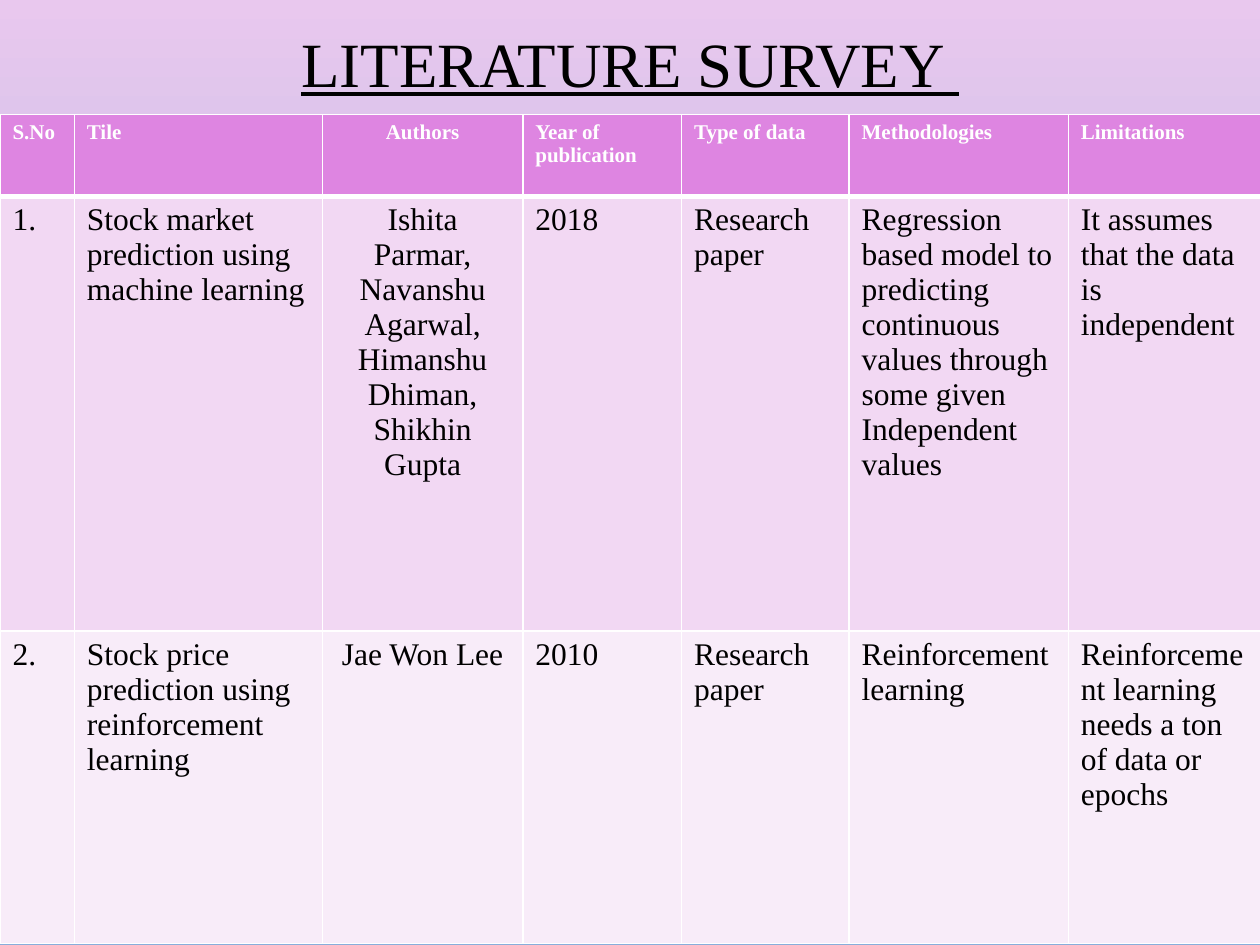
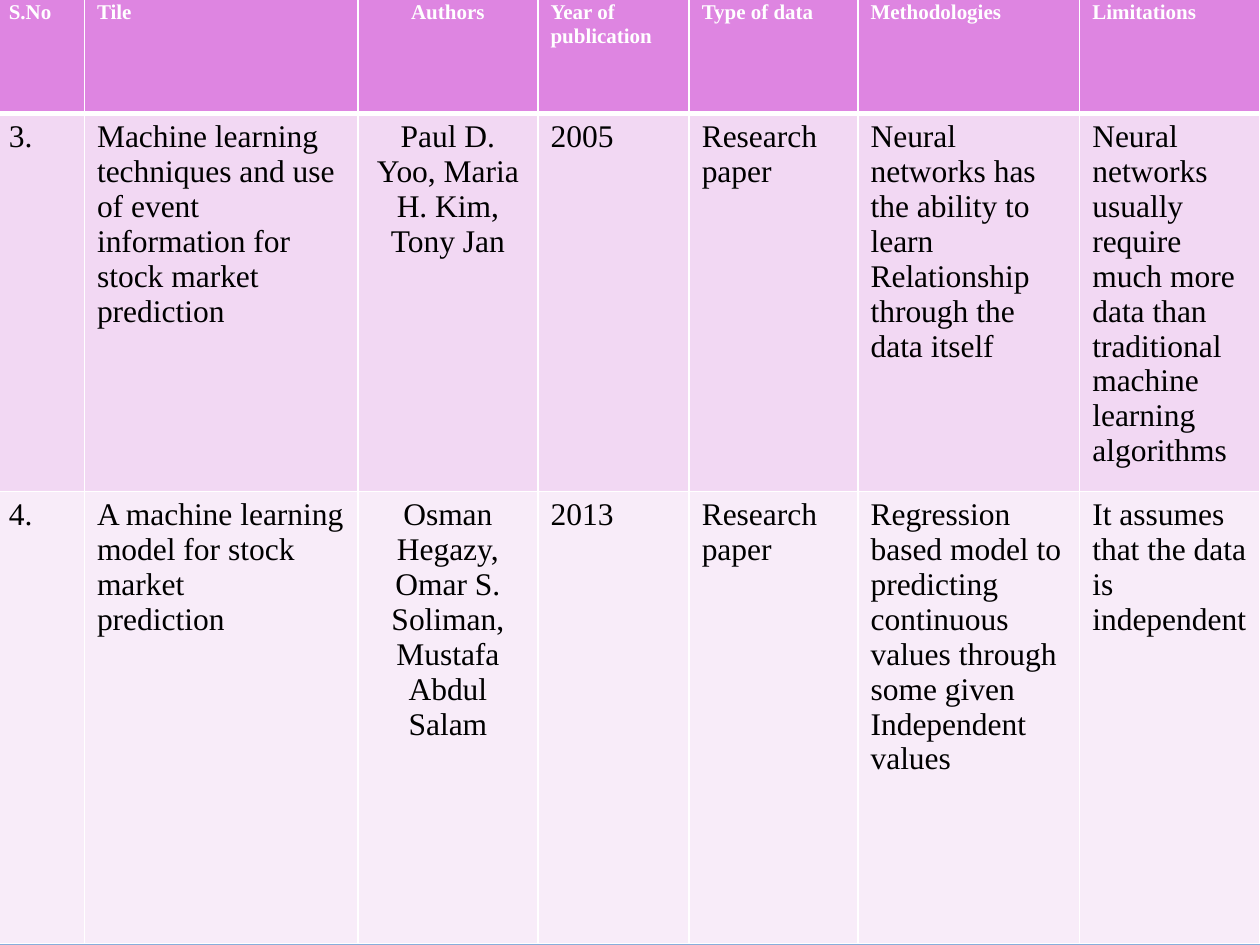
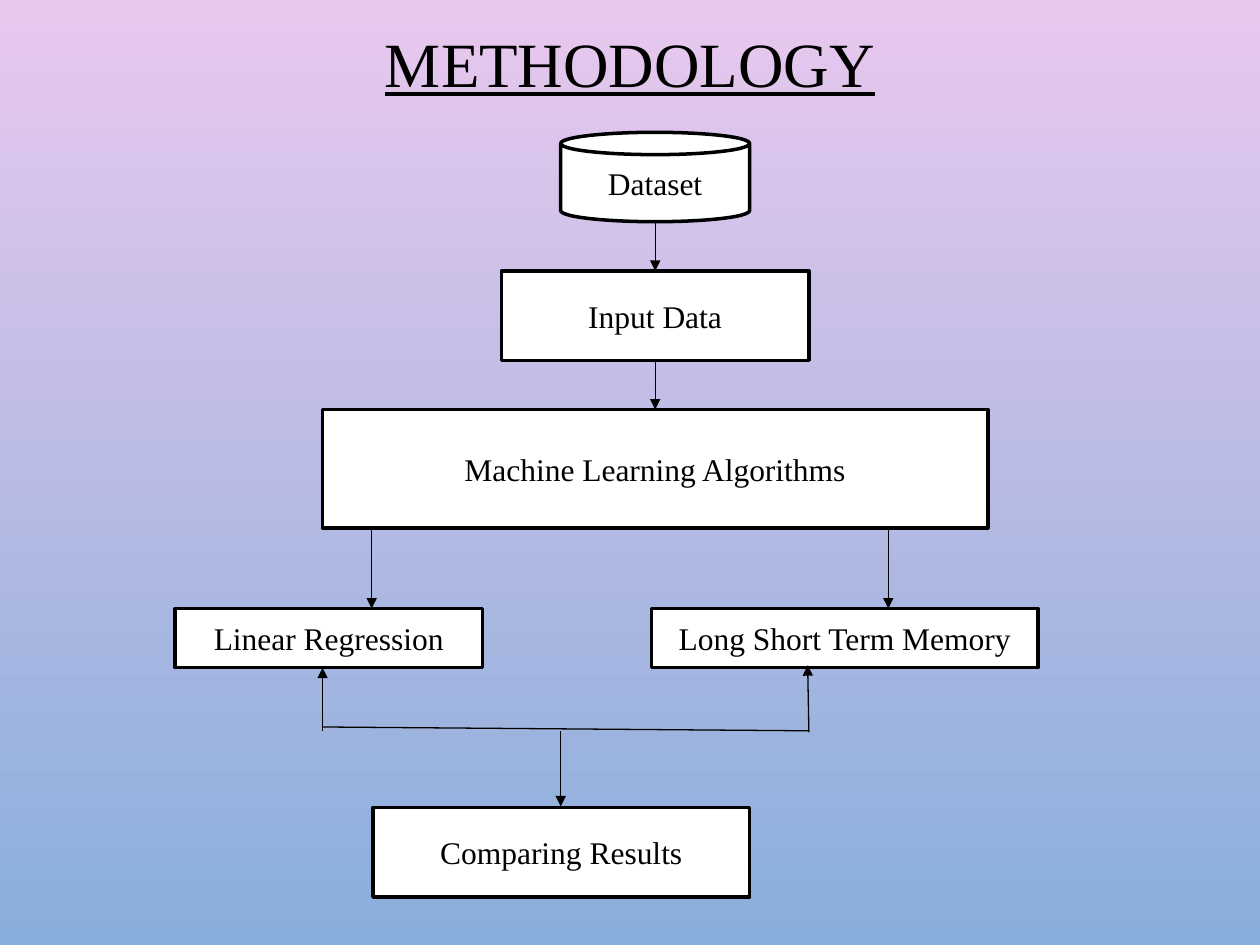
from lxml import etree
from pptx import Presentation
from pptx.dml.color import RGBColor
from pptx.enum.shapes import MSO_CONNECTOR, MSO_SHAPE
from pptx.enum.text import MSO_ANCHOR, PP_ALIGN
from pptx.oxml.ns import qn
from pptx.util import Inches, Pt

RECTANGLE, CAN = MSO_SHAPE.RECTANGLE, MSO_SHAPE.CAN
STRAIGHT = MSO_CONNECTOR.STRAIGHT
LEFT, CENTER = PP_ALIGN.LEFT, PP_ALIGN.CENTER
MIDDLE = MSO_ANCHOR.MIDDLE

BLACK = RGBColor(0x00, 0x00, 0x00)
WHITE = RGBColor(0xFF, 0xFF, 0xFF)
PINK = RGBColor(0xE9, 0xC8, 0xEE)
BLUE = RGBColor(0x88, 0xAE, 0xDB)
ORCHID = RGBColor(0xDE, 0x85, 0xE1)
ROW_FILLS = [ORCHID, RGBColor(0xF2, 0xD8, 0xF3), RGBColor(0xF8, 0xEC, 0xF9)]

FONT = "Times New Roman"
TITLE_FORMAT = {"name": FONT, "size": Pt(36), "underline": True}
HEADER_FORMAT = {"name": FONT, "size": Pt(12), "bold": True}
BODY_FORMAT = {"name": FONT, "size": Pt(18), "bold": False}
THIN_BORDER, THICK_BORDER = Pt(0.96), Pt(3)

TITLE_ONLY, BLANK = 5, 6
AUTHORS_COLUMN = 2

HEADER = ["S.No", "Tile", "Authors", "Year of publication", "Type of data",
          "Methodologies", "Limitations"]
REGRESSION = ("Regression based model to predicting continuous values "
              "through some given\nIndependent values")
INDEPENDENT = "It assumes that the data is independent"
FIRST_PAPERS = [
    ["1.", "Stock market prediction using machine learning",
     "Ishita Parmar, Navanshu Agarwal, Himanshu Dhiman, Shikhin Gupta",
     "2018", "Research paper", REGRESSION, INDEPENDENT],
    ["2.", "Stock price prediction using reinforcement learning",
     "Jae Won Lee", "2010", "Research paper", "Reinforcement learning",
     "Reinforcement learning needs a ton of data or epochs"],
]
SECOND_PAPERS = [
    ["3.", "Machine learning techniques and use of event information for "
     "stock market\nprediction",
     "Paul D. Yoo, Maria H. Kim, Tony Jan", "2005", "Research paper",
     "Neural networks has the ability to learn\n"
     "Relationship through the data itself",
     "Neural networks usually require much more data than traditional "
     "machine learning algorithms"],
    ["4.", "A machine learning model for stock market\nprediction",
     "Osman Hegazy, Omar S. Soliman, Mustafa Abdul Salam",
     "2013", "Research paper", REGRESSION, INDEPENDENT],
]

# Shape, left, top, width, height, label
BOXES = [
    (CAN, 4.45, 1.05, 1.5, 0.71, "Dataset"),
    (RECTANGLE, 3.98, 2.15, 2.44, 0.71, "Input Data"),
    (RECTANGLE, 2.56, 3.25, 5.28, 0.94, "Machine Learning Algorithms"),
    (RECTANGLE, 1.39, 4.83, 2.44, 0.47, "Linear Regression"),
    (RECTANGLE, 5.17, 4.83, 3.07, 0.47, "Long Short Term Memory"),
    (RECTANGLE, 2.96, 6.41, 2.99, 0.71, "Comparing Results"),
]
# Start x, start y, end x, end y
ARROWS = [
    (5.2, 1.76, 5.2, 2.15),
    (5.2, 2.86, 5.2, 3.25),
    (2.95, 4.2, 2.95, 4.83),
    (7.05, 4.2, 7.05, 4.83),
    (2.56, 5.8, 2.56, 5.3),
    (6.42, 5.81, 6.41, 5.28),
    (4.45, 5.8, 4.45, 6.4),
]
JOINING_LINE = (2.56, 5.77, 6.42, 5.8)


def set_background(master):
    """Give every slide the vertical pink to blue gradient."""
    fill = master.background.fill
    fill.gradient()
    fill.gradient_angle = 270
    for stop, color in zip(fill.gradient_stops, (PINK, BLUE)):
        stop.color.rgb = color


def write_text(text_frame, text, text_format, color, alignment):
    """Write text, one paragraph a line, in one format."""
    text_frame.text = text
    for paragraph in text_frame.paragraphs:
        paragraph.alignment = alignment
        for run in paragraph.runs:
            for name, value in text_format.items():
                setattr(run.font, name, value)
            run.font.color.rgb = color


def add_title(slide, text):
    """Place and format the slide title."""
    title = slide.shapes.title
    title.left, title.top = Inches(0.75), Inches(-0.34)
    title.width, title.height = Inches(8.5), Inches(1.74)
    title.text_frame.vertical_anchor = MIDDLE
    write_text(title.text_frame, text, TITLE_FORMAT, BLACK, CENTER)
    title.text_frame.paragraphs[0].line_spacing = 0.9


def set_borders(cell, top, bottom):
    """Draw white borders round a cell."""
    properties = cell._tc.get_or_add_tcPr()
    widths = {"a:lnL": THIN_BORDER, "a:lnR": THIN_BORDER,
              "a:lnT": top, "a:lnB": bottom}
    for tag, width in widths.items():
        line = etree.SubElement(properties, qn(tag), w=str(int(width)))
        fill = etree.SubElement(line, qn("a:solidFill"))
        etree.SubElement(fill, qn("a:srgbClr"), val=str(WHITE))


def add_survey_table(slide, left, top, column_widths, row_heights, papers):
    """Add a table of papers under the shared header row."""
    rows = [HEADER] + papers
    table = slide.shapes.add_table(
        len(rows), len(HEADER), Inches(left), Inches(top),
        Inches(sum(column_widths)), Inches(sum(row_heights))).table
    for column, width in zip(table.columns, column_widths):
        column.width = Inches(width)
    for row, height in zip(table.rows, row_heights):
        row.height = Inches(height)
    for row_index, texts in enumerate(rows):
        is_header = row_index == 0
        text_format = HEADER_FORMAT if is_header else BODY_FORMAT
        color = WHITE if is_header else BLACK
        top_border = THICK_BORDER if row_index == 1 else THIN_BORDER
        bottom_border = THICK_BORDER if is_header else THIN_BORDER
        for column_index, text in enumerate(texts):
            cell = table.cell(row_index, column_index)
            alignment = CENTER if column_index == AUTHORS_COLUMN else LEFT
            write_text(cell.text_frame, text, text_format, color, alignment)
            set_borders(cell, top_border, bottom_border)
            cell.fill.solid()
            cell.fill.fore_color.rgb = ROW_FILLS[row_index]


def add_box(slide, kind, left, top, width, height, label):
    """Add a white flowchart shape with a black outline."""
    shape = slide.shapes.add_shape(kind, Inches(left), Inches(top),
                                   Inches(width), Inches(height))
    shape.shadow.inherit = False
    shape.fill.solid()
    shape.fill.fore_color.rgb = WHITE
    shape.line.color.rgb = BLACK
    shape.line.width = Pt(2)
    shape.text_frame.word_wrap = True
    shape.text_frame.vertical_anchor = MIDDLE
    write_text(shape.text_frame, label, BODY_FORMAT, BLACK, CENTER)


def add_line(slide, points, arrow=True):
    """Add a thin black line, with an arrowhead at its end if wanted."""
    connector = slide.shapes.add_connector(STRAIGHT, *map(Inches, points))
    connector.line.color.rgb = BLACK
    connector.line.width = Pt(0.75)
    properties = connector._element.spPr
    if arrow:
        etree.SubElement(properties.find(qn("a:ln")), qn("a:tailEnd"),
                         type="triangle")
    etree.SubElement(properties, qn("a:effectLst"))


def main():
    """Build the three slides."""
    presentation = Presentation()
    presentation.slide_width = Inches(10)
    presentation.slide_height = Inches(7.5)
    set_background(presentation.slide_master)
    layouts = presentation.slide_layouts

    slide = presentation.slides.add_slide(layouts[TITLE_ONLY])
    add_title(slide, "LITERATURE SURVEY ")
    add_survey_table(slide, 0, 0.91,
                     [0.59, 1.97, 1.59, 1.26, 1.33, 1.74, 1.53],
                     [0.65, 3.45, 2.48], FIRST_PAPERS)

    slide = presentation.slides.add_slide(layouts[BLANK])
    add_survey_table(slide, -0.03, -0.04,
                     [0.7, 2.17, 1.43, 1.2, 1.34, 1.76, 1.43],
                     [0.94, 3, 3.59], SECOND_PAPERS)

    slide = presentation.slides.add_slide(layouts[TITLE_ONLY])
    add_title(slide, "METHODOLOGY")
    for box in BOXES:
        add_box(slide, *box)
    for points in ARROWS:
        add_line(slide, points)
    add_line(slide, JOINING_LINE, arrow=False)

    presentation.save("out.pptx")


main()
